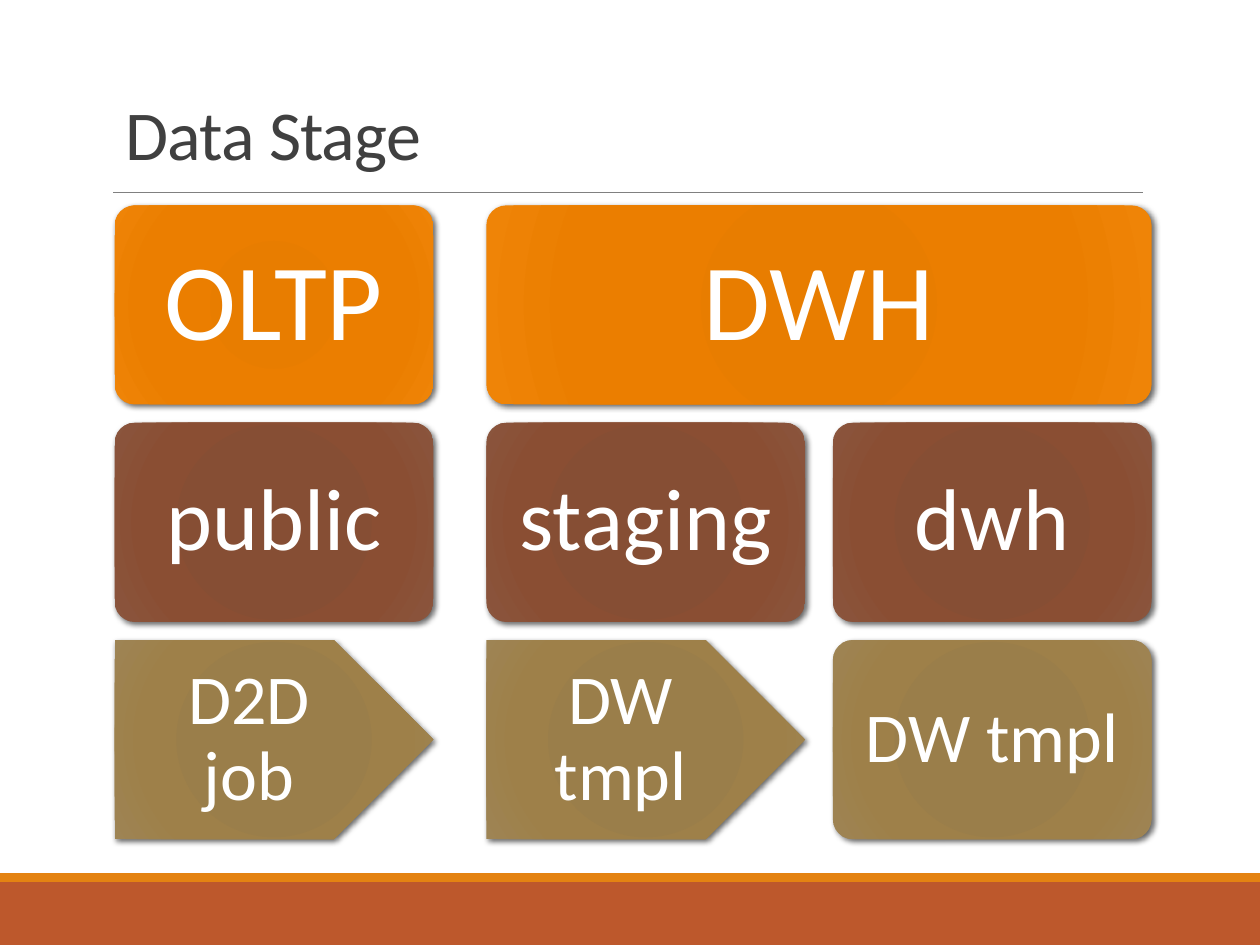
"""Build the Data Stage slide: stages, schemas and jobs in three tiers."""
from lxml import etree
from pptx import Presentation
from pptx.dml.color import RGBColor
from pptx.enum import shapes, text
from pptx.oxml import parse_xml
from pptx.oxml.ns import nsdecls, qn
from pptx.util import Inches, Pt

FONT = "Calibri"
WHITE = RGBColor(0xFF, 0xFF, 0xFF)
BLACK = RGBColor(0x00, 0x00, 0x00)
TITLE = RGBColor(0x40, 0x40, 0x40)
RULE = RGBColor(0x80, 0x80, 0x80)
RUST = RGBColor(0xBD, 0x58, 0x2C)
AMBER = RGBColor(0xE4, 0x83, 0x12)
STOPS = (0, 34, 70, 100)
ORANGE = [RGBColor.from_string(c) for c in ("E57B00", "E87D00", "EB7E00", "EF8407")]
BROWN = [RGBColor.from_string(c) for c in ("874C32", "864E34", "8A4E33", "8A553D")]
OLIVE = [RGBColor.from_string(c) for c in ("9A7D48", "9A7E4A", "9E8049", "9E8454")]

BOX_W, BOX_H = 2.53, 1.58
COLUMNS = (0.91, 3.86, 6.61)
TOP, ROW_STEP = 1.63, 1.725
ROUND = shapes.MSO_SHAPE.ROUNDED_RECTANGLE
ARROW = shapes.MSO_SHAPE.PENTAGON

TIERS = [
    (ORANGE, 62, 0.26, [("OLTP", 0, 1, ROUND), ("DWH", 1, 2, ROUND)]),
    (BROWN, 50, 0.21, [("public", 0, 1, ROUND), ("staging", 1, 1, ROUND),
                       ("dwh", 2, 1, ROUND)]),
    (OLIVE, 40, 0.17, [("D2D job", 0, 1, ARROW), ("DW tmpl", 1, 1, ARROW),
                       ("DW tmpl", 2, 1, ROUND)]),
]


def add_run(p, words, size, color):
    """Add one run of text to a paragraph."""
    r = p.add_run()
    r.text = words
    r.font.name, r.font.size = FONT, Pt(size)
    r.font.color.rgb = color
    return r


def add_band(s, top, height, color):
    """Add a full-width footer band."""
    sp = s.shapes.add_shape(shapes.MSO_SHAPE.RECTANGLE, 0, Inches(top),
                            Inches(10), Inches(height))
    sp.shadow.inherit = False
    sp.fill.solid()
    sp.fill.fore_color.rgb = color
    sp.line.fill.background()


def add_title(s, words):
    """Add the slide title and the rule under it."""
    rule = s.shapes.add_connector(shapes.MSO_CONNECTOR.STRAIGHT, Inches(0.9),
                                  Inches(1.53), Inches(9.07), Inches(1.53))
    rule.line.color.rgb = RULE
    rule.line.width = Pt(0.5)
    etree.SubElement(rule._element.spPr, qn("a:effectLst"))
    tf = s.shapes.add_textbox(Inches(0.9), Inches(0.31), Inches(8.25),
                              Inches(1.13)).text_frame
    tf.word_wrap = True
    tf.vertical_anchor = text.MSO_ANCHOR.BOTTOM
    p = tf.paragraphs[0]
    p.line_spacing = 0.85
    add_run(p, words, 40, TITLE).font._element.set("spc", "-50")


def style_box(sp, colors):
    """Give a box its radial gradient and soft drop shadow."""
    stops = "".join(f'<a:gs pos="{pos * 1000}"><a:srgbClr val="{c}"/></a:gs>'
                    for pos, c in zip(STOPS, colors))
    sp.line.fill.background()
    spPr = sp._element.spPr
    spPr.find(qn("a:ln")).addprevious(parse_xml(
        f'<a:gradFill {nsdecls("a")} rotWithShape="1"><a:gsLst>{stops}</a:gsLst>'
        '<a:path path="circle"><a:fillToRect l="100000" t="100000" r="100000" '
        'b="100000"/></a:path></a:gradFill>'))
    spPr.append(parse_xml(
        f'<a:effectLst {nsdecls("a")}><a:outerShdw blurRad="{Pt(3.5)}" '
        f'dist="{Pt(2)}" dir="2700000" rotWithShape="0"><a:srgbClr val="{BLACK}">'
        '<a:alpha val="60000"/></a:srgbClr></a:outerShdw></a:effectLst>'))


def add_box(s, words, kind, left, top, width, colors, size, inset):
    """Add one labelled box of the diagram."""
    sp = s.shapes.add_shape(kind, Inches(left), Inches(top), Inches(width),
                            Inches(BOX_H))
    sp.adjustments[0] = 0.1 if kind == ROUND else 0.5
    style_box(sp, colors)
    tf = sp.text_frame
    tf.word_wrap = True
    tf.vertical_anchor = text.MSO_ANCHOR.MIDDLE
    tf.margin_left = tf.margin_right = Inches(inset)
    tf.margin_top = tf.margin_bottom = Inches(inset)
    p = tf.paragraphs[0]
    p.alignment = text.PP_ALIGN.CENTER
    p.line_spacing = 0.9
    add_run(p, words, size, WHITE)


def add_tiers(s):
    """Lay out the boxes tier by tier on the column grid."""
    for row, (colors, size, inset, boxes) in enumerate(TIERS):
        for words, col, span, kind in boxes:
            width = COLUMNS[col + span - 1] + BOX_W - COLUMNS[col]
            add_box(s, words, kind, COLUMNS[col], TOP + row * ROW_STEP, width,
                    colors, size, inset)


def main():
    """Build and save the slide."""
    prs = Presentation()
    prs.slide_width, prs.slide_height = Inches(10), Inches(7.5)
    s = prs.slides.add_slide(prs.slide_layouts[6])
    add_band(s, 7, 0.5, RUST)
    add_band(s, 6.93, 0.07, AMBER)
    add_title(s, "Data Stage")
    add_tiers(s)
    prs.save("out.pptx")


if __name__ == "__main__":
    main()
